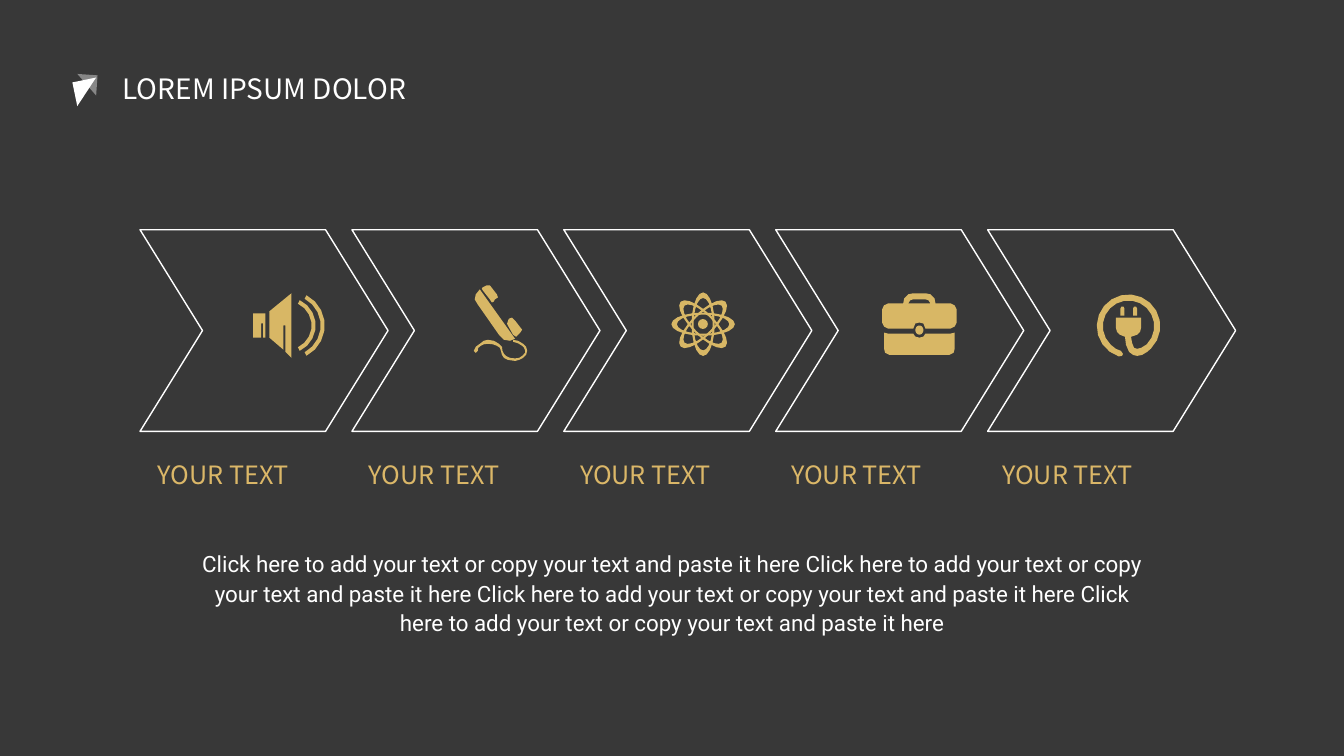
import math
from dataclasses import dataclass

import pptx
import pptx.dml.color
import pptx.enum.shapes
import pptx.enum.text
import pptx.oxml
import pptx.oxml.ns
import pptx.util
from pptx.util import Cm, Pt

Point = tuple[float, float]
Contour = list[Point]

CHARCOAL = pptx.dml.color.RGBColor(0x38, 0x38, 0x38)
WHITE = pptx.dml.color.RGBColor(0xFF, 0xFF, 0xFF)
ICON_GOLD = pptx.dml.color.RGBColor(0xD8, 0xB7, 0x65)
LABEL_GOLD = pptx.dml.color.RGBColor(0xDB, 0xB7, 0x68)

STEP_COUNT = 5
CHEVRON_PITCH = 5.34
LABEL_PITCH = 5.32
ICON_UNIT = Cm(2.54) / 100
SUBUNITS = 20  # freeform points are whole numbers, so icon units are subdivided
SENTENCE = "Click here to add your text or copy your text and paste it here"


@dataclass
class Icon:
    """Outlines in icon units; each outline is a list of contours."""
    left: float
    top: float
    outlines: list[list[Contour]]


@dataclass
class Triangle:
    left: float
    top: float
    size: float
    rotation: float
    opacity: int


def arc(center_x: float, center_y: float, radius_x: float, radius_y: float,
        start: float = 0, end: float = 360, tilt: float = 0) -> Contour:
    """Points along an elliptical arc; angles in degrees, clockwise."""
    steps = round(abs(end - start) / 18)
    cosine, sine = math.cos(math.radians(tilt)), math.sin(math.radians(tilt))
    points = []
    for step in range(steps + 1):
        angle = math.radians(start + (end - start) * step / steps)
        x, y = radius_x * math.cos(angle), radius_y * math.sin(angle)
        points.append((center_x + x * cosine - y * sine,
                       center_y + x * sine + y * cosine))
    return points


def sound_wave(center_x: float, radius: float, angle: float) -> Contour:
    inner = radius - 4
    return (arc(center_x, 32, radius, radius, -angle, angle)
            + arc(center_x, 32, inner, inner, angle, -angle))


def prong(left: float) -> Contour:
    return [(left, 21), (left, 14), (left + 1, 12), (left + 3, 12),
            (left + 4, 14), (left + 4, 21)]


# Icon outlines
SPEAKER = Icon(6.38, 7.39, [
    [sound_wave(37, 34, 62)],
    [sound_wave(34, 28, 64)],
    [[(16, 18), (16, 44), (30, 56), (30, 32), (32, 32), (32, 58), (38, 64), (38, 0)]],
    [[(0, 20), (0, 44), (8, 44), (8, 30), (10, 30), (10, 44), (12, 44), (12, 20)]],
])
PHONE = Icon(11.94, 7.14, [
    [[(41, 55), (36, 57), (30, 56), (25, 51), (4, 21), (1, 16), (2, 11), (6, 6)]],
    [[(23, 11), (24, 14), (21, 16), (20, 18), (18, 19), (16, 16), (9, 7),
      (8, 5), (9, 4), (13, 2), (16, 2)]],
    [[(48, 46), (46, 49), (44, 51), (42, 53), (39, 51), (34, 42), (33, 40),
      (34, 37), (35, 35), (38, 34), (41, 37)]],
    [[(41, 77), (34, 76), (30, 74), (28, 71), (27, 67), (26, 64), (23, 62),
      (19, 60.5), (14, 60), (10, 60.5), (7, 62), (4.5, 64), (4, 67), (2, 69),
      (0, 67), (2, 63), (6, 60), (10, 57), (14, 56), (20, 57), (25, 60),
      (28, 63), (28.5, 67), (30, 70), (32, 72), (36, 74), (41, 74.5), (45, 74),
      (48, 72), (51, 69), (51, 67), (50, 64), (48, 62), (44, 59.5), (39, 58),
      (39, 56), (44, 57), (49, 60), (52, 63), (53, 67), (52, 71), (49, 74), (45, 76)]],
])
ATOM = Icon(17.72, 8.17, [
    [arc(0, 0, 31.5, 11.5, tilt=tilt), arc(0, 0, 26, 9.5, tilt=tilt)]
    for tilt in (90, 0, 135, 45)
])
BRIEFCASE = Icon(22.23, 7.39, [
    [arc(37, 36.5, 4, 4.5)],
    [[(43, 40), (41, 43), (37, 44), (33, 43), (31, 40), (6, 40), (2, 39), (2, 55),
      (3, 59), (7, 61), (67, 61), (71, 59), (72, 55), (72, 39), (68, 40)]],
    [[(68, 10), (53, 10), (52, 5), (48, 1), (43, 0), (31, 0), (26, 1), (22, 5),
      (21, 10), (6, 10), (2, 12), (0, 16), (0, 29), (2, 33), (6, 35), (31, 35),
      (33, 30), (37, 29), (41, 30), (43, 35), (68, 35), (72, 33), (74, 29),
      (74, 16), (72, 12)],
     [(26, 10), (28, 7), (31, 6), (43, 6), (46, 7), (48, 10)]],
])
PLUG = Icon(27.64, 7.42, [
    [prong(23.5)],
    [prong(36)],
    [arc(31.5, 31.5, 31.5, 31.5, 45, -252)
     + [(25, 61), (26, 59), (24, 56), (19, 54)]
     + arc(31.5, 31.5, 25.5, 25.5, -226, 45)
     + [(44, 53), (40, 54), (37, 53), (35, 48), (34, 42), (40, 40), (43, 37),
        (44, 33), (44, 23), (19, 23), (19, 33), (20, 37), (23, 40), (28, 42),
        (29, 50), (32, 57), (36, 60), (40, 61), (45, 60), (50, 57)]],
])
ICONS = [SPEAKER, PHONE, ATOM, BRIEFCASE, PLUG]
TITLE_MARK = [Triangle(1.88, 2.01, 0.61, 78.4, 100),
              Triangle(1.93, 1.88, 0.51, 184, 40)]


def draw_filled(slide, preset: pptx.enum.shapes.MSO_SHAPE, left: float, top: float,
                width: float, height: float, color: pptx.dml.color.RGBColor):
    shape = slide.shapes.add_shape(preset, Cm(left), Cm(top), Cm(width), Cm(height))
    fill_plain(shape, color)
    return shape


def fill_plain(shape, color: pptx.dml.color.RGBColor) -> None:
    shape.shadow.inherit = False
    shape.fill.solid()
    shape.fill.fore_color.rgb = color
    shape.line.fill.background()


def draw_chevron(slide, index: int) -> None:
    chevron = slide.shapes.add_shape(
        pptx.enum.shapes.MSO_SHAPE.CHEVRON,
        Cm(3.53 + index * CHEVRON_PITCH), Cm(5.79), Cm(6.25), Cm(5.08))
    chevron.adjustments[0] = 0.31
    chevron.shadow.inherit = False
    chevron.fill.background()
    chevron.line.color.rgb = WHITE
    chevron.line.width = Pt(1)


def draw_icon(slide, icon: Icon) -> None:
    parts = []
    for outline in icon.outlines:
        contours = [[(x * SUBUNITS, y * SUBUNITS) for x, y in contour]
                    for contour in outline]
        builder = slide.shapes.build_freeform(*contours[0][0], scale=ICON_UNIT / SUBUNITS)
        builder.add_line_segments(contours[0][1:], close=True)
        for contour in contours[1:]:
            builder.move_to(*contour[0])
            builder.add_line_segments(contour[1:], close=True)
        part = builder.convert_to_shape(Cm(icon.left), Cm(icon.top))
        fill_plain(part, ICON_GOLD)
        parts.append(part)
    if icon is ATOM:
        parts.append(draw_filled(slide, pptx.enum.shapes.MSO_SHAPE.OVAL, icon.left - 0.13,
                                 icon.top - 0.13, 0.25, 0.25, ICON_GOLD))
    slide.shapes.add_group_shape(parts)


def draw_triangle(slide, triangle: Triangle) -> None:
    shape = draw_filled(slide, pptx.enum.shapes.MSO_SHAPE.RIGHT_TRIANGLE, triangle.left,
                        triangle.top, triangle.size, triangle.size, WHITE)
    shape.rotation = triangle.rotation
    if triangle.opacity < 100:
        color = shape.fill._xPr.find(".//" + pptx.oxml.ns.qn("a:srgbClr"))
        color.append(pptx.oxml.parse_xml(
            f'<a:alpha {pptx.oxml.ns.nsdecls("a")} val="{triangle.opacity * 1000}"/>'))


def write_text(shape, text: str, box: tuple[float, float, float, float], font: str,
               size: int, color: pptx.dml.color.RGBColor, wrap: bool = False,
               alignment=pptx.enum.text.PP_ALIGN.CENTER):
    shape.left, shape.top, shape.width, shape.height = (Cm(length) for length in box)
    frame = shape.text_frame
    frame.text = text
    frame.word_wrap = wrap
    frame.auto_size = pptx.enum.text.MSO_AUTO_SIZE.NONE
    paragraph = frame.paragraphs[0]
    paragraph.alignment = alignment
    paragraph.font.name = font
    paragraph.font.size = Pt(size)
    paragraph.font.color.rgb = color
    return paragraph


def main() -> None:
    presentation = pptx.Presentation()
    presentation.slide_width, presentation.slide_height = Cm(33.87), Cm(19.05)
    slide = presentation.slides.add_slide(presentation.slide_layouts[1])

    # Backdrop, behind the placeholders
    backdrop = draw_filled(slide, pptx.enum.shapes.MSO_SHAPE.RECTANGLE,
                           0, 0, 33.87, 19.05, CHARCOAL)
    slide.shapes.title._element.addprevious(backdrop._element)

    # Title and its mark
    write_text(slide.shapes.title, "LOREM IPSUM DOLOR", (2.47, 1.66, 8.38, 1.12),
               "Noto Sans CJK JP", 20, WHITE)
    for triangle in TITLE_MARK:
        draw_triangle(slide, triangle)

    # Process steps
    for index in range(STEP_COUNT):
        draw_chevron(slide, index)
        draw_icon(slide, ICONS[index])
        label = slide.shapes.add_textbox(0, 0, 0, 0)
        write_text(label, "YOUR TEXT", (3.73 + index * LABEL_PITCH, 11.46, 4.01, 1.02),
                   "Noto Sans CJK SC", 18, LABEL_GOLD,
                   alignment=pptx.enum.text.PP_ALIGN.LEFT)

    # Description
    paragraph = write_text(slide.placeholders[1], " ".join([SENTENCE] * 4),
                           (4.75, 13.67, 24.38, 2.46), "Roboto", 16, WHITE, wrap=True)
    paragraph.line_spacing = 1.1
    paragraph.space_before = Pt(0)
    properties = paragraph._p.get_or_add_pPr()
    properties.set("marL", "0")
    properties.set("indent", "0")
    bullet = pptx.oxml.parse_xml(f'<a:buNone {pptx.oxml.ns.nsdecls("a")}/>')
    properties.find(pptx.oxml.ns.qn("a:spcBef")).addnext(bullet)

    presentation.save("out.pptx")


if __name__ == "__main__":
    main()
